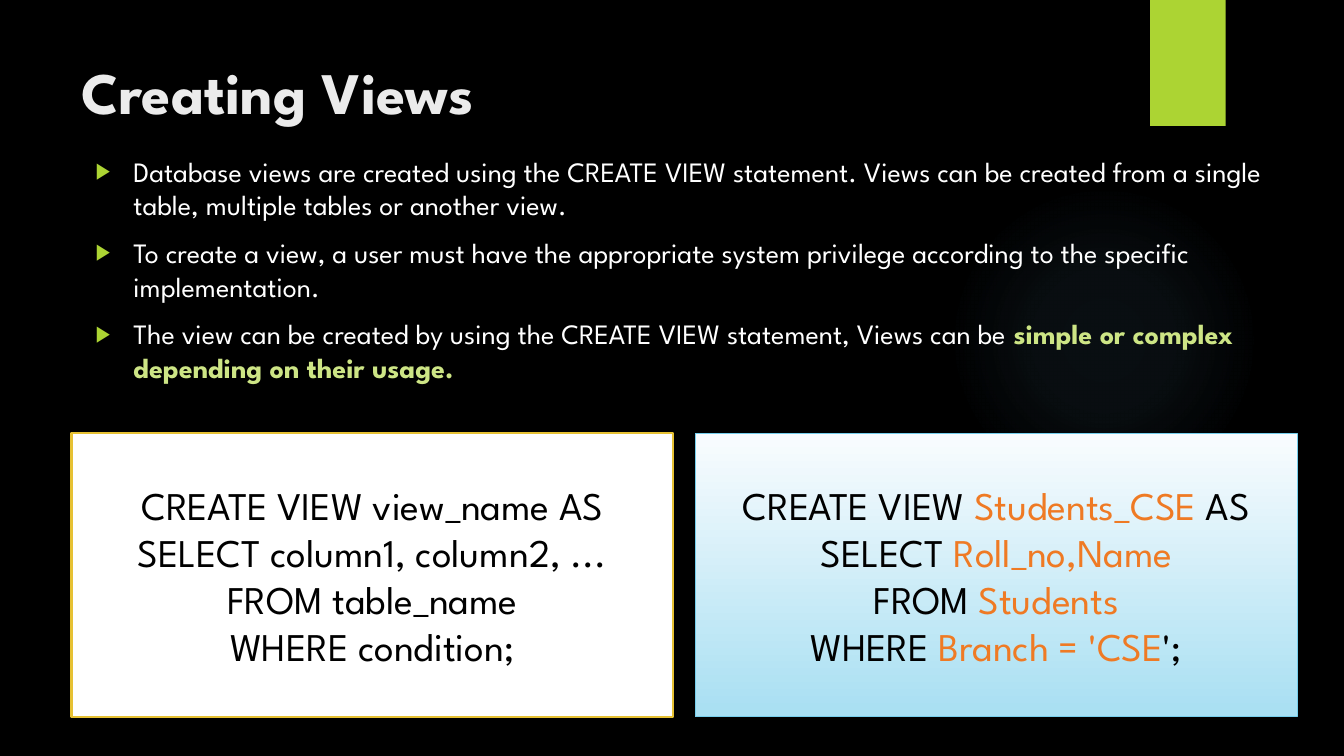
from lxml import etree
from pptx import Presentation
from pptx.dml.color import RGBColor
from pptx.enum.shapes import MSO_SHAPE
from pptx.enum.text import MSO_ANCHOR, PP_ALIGN
from pptx.oxml.ns import qn
from pptx.util import Pt

RECT, OVAL = MSO_SHAPE.RECTANGLE, MSO_SHAPE.OVAL
TOP, MIDDLE = MSO_ANCHOR.TOP, MSO_ANCHOR.MIDDLE
LEFT, CENTER = PP_ALIGN.LEFT, PP_ALIGN.CENTER

FONT = "League Spartan"
BLACK = RGBColor(0x00, 0x00, 0x00)
WHITE = RGBColor(0xFF, 0xFF, 0xFF)
OFF_WHITE = RGBColor(0xEB, 0xEB, 0xEB)
GREEN = RGBColor(0xAC, 0xD4, 0x33)
PALE_GREEN = RGBColor(0xCD, 0xE5, 0x85)
ORANGE = RGBColor(0xEF, 0x7A, 0x24)
GOLD = RGBColor(0xE6, 0xC1, 0x33)
SKY = RGBColor(0x75, 0xCE, 0xEC)
GLOW = RGBColor(0x7A, 0xC4, 0xF0)
ICE = RGBColor(0xF9, 0xFC, 0xFE)
LIGHT_BLUE = RGBColor(0xA8, 0xDF, 0xF2)

# Content: each paragraph is a list of (text, emphasised) runs
TITLE = [[("Creating Views", True)]]
BULLETS = [
    [("Database views are created using the CREATE VIEW statement. Views can be "
      "created from a single table, multiple tables or another view.", False)],
    [("To create a view, a user must have the appropriate system privilege "
      "according to the specific implementation.", False)],
    [("The view can be created by using the CREATE VIEW statement, Views can be ", False),
     ("simple or complex depending on their usage.", True)],
]
SYNTAX = [
    [("CREATE VIEW view_name AS", False)],
    [("SELECT column1, column2, ...", False)],
    [("FROM table_name", False)],
    [("WHERE condition;", False)],
]
EXAMPLE = [
    [("CREATE VIEW ", False), ("Students_CSE", True), (" AS", False)],
    [("SELECT ", False), ("Roll_no,Name", True)],
    [("FROM ", False), ("Students", True)],
    [("WHERE ", False), ("Branch = 'CSE", True), ("';", False)],
]

# Layout in points
SLIDE_W, SLIDE_H = 960, 540
MARGIN = 51.1
GLOW_BOX = (677.5, 131.8, 221.8, 221.8)
TAB_BOX = (821.5, 0, 54, 90)
TITLE_BOX = (MARGIN, 36, 741, 110)
BODY_BOX = (61.2, 106.6, 865.4, 366.5)
CARD_TOP, CARD_W, CARD_H, CARD_GAP = 309.6, 429.8, 202.4, 15.9
INDENT = 27


def add_box(slide, kind, box, fill=None, line=None, line_width=0):
    sp = slide.shapes.add_shape(kind, *map(Pt, box))
    sp.shadow.inherit = False
    if fill is not None:
        sp.fill.solid()
        sp.fill.fore_color.rgb = fill
    if line is None:
        sp.line.fill.background()
    else:
        sp.line.color.rgb = line
        sp.line.width = Pt(line_width)
    return sp


def set_gradient(sp, stops, radial=False):
    """Fill with (position %, colour, opacity %) stops, downward or from the centre."""
    sp.fill.gradient()
    grad = sp._element.spPr.find(qn("a:gradFill"))
    for child in list(grad):
        grad.remove(child)
    stop_list = etree.SubElement(grad, qn("a:gsLst"))
    for position, color, opacity in stops:
        stop = etree.SubElement(stop_list, qn("a:gs"), pos=str(position * 1000))
        clr = etree.SubElement(stop, qn("a:srgbClr"), val=str(color))
        if opacity < 100:
            etree.SubElement(clr, qn("a:alpha"), val=str(opacity * 1000))
    if radial:
        shade = etree.SubElement(grad, qn("a:path"), path="circle")
        etree.SubElement(shade, qn("a:fillToRect"), l="50000", t="50000",
                         r="50000", b="50000")
    else:
        etree.SubElement(grad, qn("a:lin"), ang="5400000", scaled="0")


def add_bullet(p):
    pPr = p._p.get_or_add_pPr()
    pPr.set("marL", str(Pt(INDENT)))
    pPr.set("indent", str(-Pt(INDENT)))
    clr = etree.SubElement(pPr, qn("a:buClr"))
    etree.SubElement(clr, qn("a:srgbClr"), val=str(GREEN))
    etree.SubElement(pPr, qn("a:buSzPct"), val="80000")
    etree.SubElement(pPr, qn("a:buFont"), typeface="Arial")
    etree.SubElement(pPr, qn("a:buChar"), char="▶")


def write(sp, paragraphs, size, color, accent, bold=False, align=LEFT,
          anchor=TOP, bullets=False):
    tf = sp.text_frame
    tf.word_wrap = True
    tf.vertical_anchor = anchor
    for i, runs in enumerate(paragraphs):
        p = tf.paragraphs[0] if i == 0 else tf.add_paragraph()
        p.alignment = align
        if bullets:
            add_bullet(p)
            if i:
                p.space_before = Pt(10)
        for text, emphasised in runs:
            r = p.add_run()
            r.text = text
            r.font.name = FONT
            r.font.size = Pt(size)
            r.font.bold = bold and emphasised
            r.font.color.rgb = accent if emphasised else color


def main():
    prs = Presentation()
    prs.slide_width, prs.slide_height = Pt(SLIDE_W), Pt(SLIDE_H)
    slide = prs.slides.add_slide(prs.slide_layouts[6])
    slide.background.fill.solid()
    slide.background.fill.fore_color.rgb = BLACK

    # Backdrop: soft glow and green tab
    glow = add_box(slide, OVAL, GLOW_BOX)
    set_gradient(glow, [(0, GLOW, 7), (36, GLOW, 6), (69, GLOW, 0)], radial=True)
    add_box(slide, RECT, TAB_BOX, GREEN)

    # Title and bullets
    title = slide.shapes.add_textbox(*map(Pt, TITLE_BOX))
    write(title, TITLE, 42, OFF_WHITE, OFF_WHITE, bold=True)
    body = slide.shapes.add_textbox(*map(Pt, BODY_BOX))
    write(body, BULLETS, 20, WHITE, PALE_GREEN, bold=True, bullets=True)

    # Code cards: syntax, then example
    cards = [(SYNTAX, WHITE, GOLD, 1.5), (EXAMPLE, None, SKY, 0.75)]
    for i, (code, fill, line, line_width) in enumerate(cards):
        box = (MARGIN + i * (CARD_W + CARD_GAP), CARD_TOP, CARD_W, CARD_H)
        card = add_box(slide, RECT, box, fill, line, line_width)
        if fill is None:
            set_gradient(card, [(0, ICE, 100), (100, LIGHT_BLUE, 100)])
        write(card, code, 28, BLACK, ORANGE, align=CENTER, anchor=MIDDLE)

    prs.save("out.pptx")


if __name__ == "__main__":
    main()
